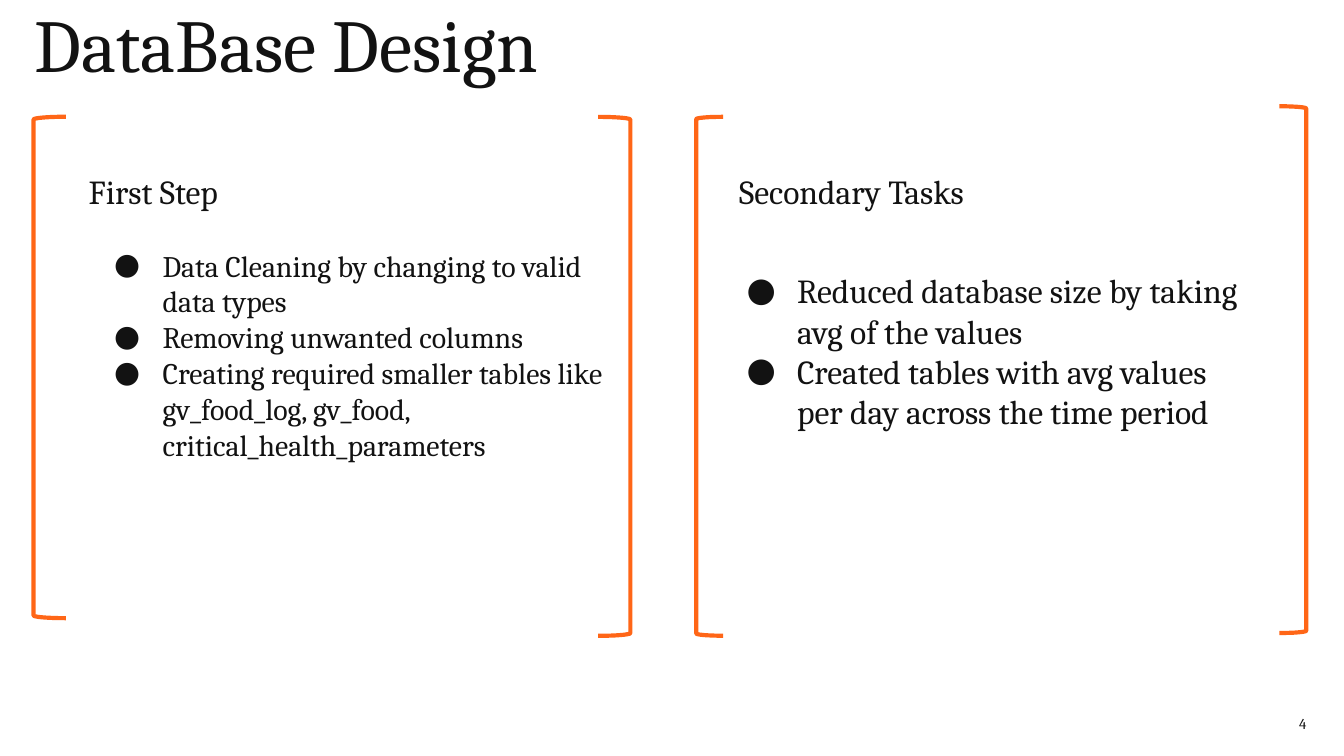
from dataclasses import dataclass

from lxml import etree
from pptx import Presentation
from pptx.dml.color import RGBColor
from pptx.enum.shapes import MSO_SHAPE
from pptx.enum.text import MSO_ANCHOR, MSO_AUTO_SIZE, PP_ALIGN
from pptx.oxml.ns import qn
from pptx.util import Pt

LEFT, RIGHT = PP_ALIGN.LEFT, PP_ALIGN.RIGHT
TOP, MIDDLE = MSO_ANCHOR.TOP, MSO_ANCHOR.MIDDLE
NO_AUTOFIT = MSO_AUTO_SIZE.NONE
LEFT_BRACKET = MSO_SHAPE.LEFT_BRACKET
COMPARISON_LAYOUT = 4


@dataclass(frozen=True)
class Theme:
    font: str = "Cambria"
    ink: str = "121212"
    accent: str = "FF6617"
    title: float = 40
    heading: float = 18
    number: float = 8
    bracket_line: float = 2.25
    inset: float = 7.2


@dataclass(frozen=True)
class Box:
    left: float
    top: float
    width: float
    height: float

    def points(self) -> tuple:
        return Pt(self.left), Pt(self.top), Pt(self.width), Pt(self.height)


@dataclass(frozen=True)
class Column:
    heading: str
    heading_box: Box
    tasks: tuple[str, ...]
    tasks_box: Box
    task_size: float
    hanging: float
    opening: Box
    closing: Box


THEME = Theme()

COLUMNS = (
    Column(
        "First Step", Box(40.3, 84.2, 293.8, 33.8),
        ("Data Cleaning by changing to valid data types",
         "Removing unwanted columns",
         "Creating required smaller tables like gv_food_log, gv_food, "
         "critical_health_parameters"),
        Box(43.9, 125.3, 287.3, 193.7), 16, 26,
        opening=Box(18, 62.6, 17.3, 268.6), closing=Box(320.4, 62.6, 17.3, 278),
    ),
    Column(
        "Secondary Tasks", Box(388.8, 84.2, 287.3, 46.1),
        ("Reduced database size by taking avg of the values",
         "Created tables with avg values per day across the time period"),
        Box(383.8, 137.5, 296.6, 168.5), 18, 27,
        opening=Box(373, 62.6, 14.4, 278), closing=Box(685.4, 56.9, 14.4, 282.2),
    ),
)


def add_bullet(paragraph, hanging: float) -> None:
    properties = paragraph._p.get_or_add_pPr()
    properties.set("marL", str(Pt(36)))
    properties.set("indent", str(-Pt(hanging)))
    color = etree.SubElement(properties, qn("a:buClr"))
    etree.SubElement(color, qn("a:srgbClr"), val=THEME.ink)
    etree.SubElement(properties, qn("a:buFont"), typeface=THEME.font)
    etree.SubElement(properties, qn("a:buChar"), char="●")


def write_text(holder, box: Box, lines: tuple[str, ...], size: float,
               align=LEFT, anchor=TOP, hanging: float = 0) -> None:
    """Place a text holder and fill it; a hanging indent makes a bulleted list."""
    holder.left, holder.top, holder.width, holder.height = box.points()
    frame = holder.text_frame
    frame.word_wrap = True
    frame.auto_size = NO_AUTOFIT
    frame.vertical_anchor = anchor
    frame.margin_left = frame.margin_right = Pt(THEME.inset)
    frame.margin_top = frame.margin_bottom = Pt(THEME.inset)
    for index, line in enumerate(lines):
        paragraph = frame.add_paragraph() if index else frame.paragraphs[0]
        paragraph.alignment = align
        paragraph.line_spacing = 1.0
        paragraph.space_before = paragraph.space_after = Pt(0)
        if hanging:
            add_bullet(paragraph, hanging)
        run = paragraph.add_run()
        run.text = line
        run.font.name = THEME.font
        run.font.size = Pt(size)
        run.font.bold = False
        run.font.color.rgb = RGBColor.from_string(THEME.ink)


def add_bracket(slide, box: Box, rotation: float = 0) -> None:
    bracket = slide.shapes.add_shape(LEFT_BRACKET, *box.points())
    bracket.rotation = rotation
    bracket.adjustments[0] = 0.083
    bracket.shadow.inherit = False
    bracket.fill.background()
    bracket.line.color.rgb = RGBColor.from_string(THEME.accent)
    bracket.line.width = Pt(THEME.bracket_line)


def add_column(slide, column: Column, heading_holder, tasks_holder) -> None:
    write_text(heading_holder, column.heading_box, (column.heading,), THEME.heading)
    write_text(tasks_holder, column.tasks_box, column.tasks, column.task_size,
               hanging=column.hanging)
    add_bracket(slide, column.opening)
    add_bracket(slide, column.closing, rotation=180)


def main() -> None:
    deck = Presentation()
    deck.slide_width, deck.slide_height = Pt(720), Pt(405)
    slide = deck.slides.add_slide(deck.slide_layouts[COMPARISON_LAYOUT])

    write_text(slide.shapes.title, Box(11.5, -8.6, 689, 85),
               ("DataBase Design",), THEME.title)
    holders = slide.placeholders
    for column, first in zip(COLUMNS, (1, 3)):
        add_column(slide, column, holders[first], holders[first + 1])

    number_box = Box(682.6, 381.6, 24.5, 12.2)
    page_number = slide.shapes.add_textbox(*number_box.points())
    write_text(page_number, number_box, ("4",), THEME.number, RIGHT, MIDDLE)

    deck.save("out.pptx")


if __name__ == "__main__":
    main()
